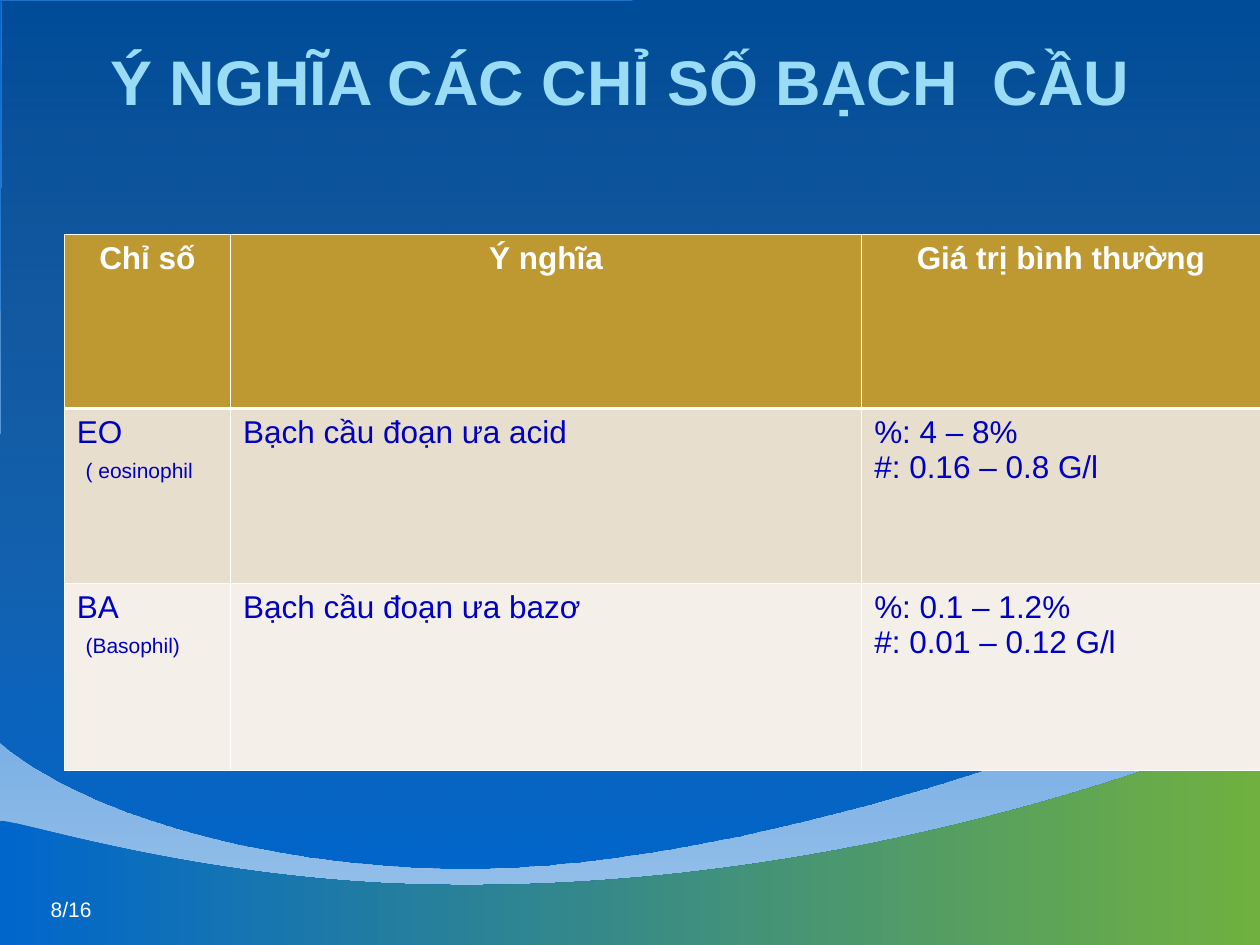
from dataclasses import dataclass

import pptx
import pptx.dml.color
import pptx.enum.text
import pptx.oxml
import pptx.oxml.ns
import pptx.util
from pptx.util import Pt

ALIGN = pptx.enum.text.PP_ALIGN
NAMESPACE = pptx.oxml.ns.nsdecls("a")


@dataclass(frozen=True)
class Theme:
    font: str = "Arial"
    title_size: float = 36
    body_size: float = 18
    small_size: float = 12
    title: str = "9ADCF6"
    white: str = "FFFFFF"
    body: str = "0000C0"
    header_fill: str = "BE9932"
    odd_fill: str = "E8DECD"
    even_fill: str = "F4EFE8"
    navy: str = "002F5E"
    blue: str = "0066CC"
    sky: str = "9BC3EB"
    green: str = "70B040"
    thin: float = 0.45
    thick: float = 1.47


THEME = Theme()


@dataclass(frozen=True)
class Run:
    text: str
    size: float = THEME.body_size
    color: str = THEME.body
    bold: bool = False


@dataclass(frozen=True)
class TableRow:
    height: float
    fill: str
    cells: list[list[list[Run]]]
    align: ALIGN = ALIGN.LEFT
    top: float = THEME.thin
    bottom: float = THEME.thin


@dataclass(frozen=True)
class Wave:
    """Outline made of cubic curves, closed by straight lines."""
    start: tuple
    curves: list[tuple]
    corners: list[tuple]
    colors: tuple
    angle: float
    start_opacity: int = 100


def rgb(color: str) -> pptx.dml.color.RGBColor:
    return pptx.dml.color.RGBColor.from_string(color)


def set_gradient(fill, colors: tuple, angle: float) -> None:
    fill.gradient()
    fill.gradient_angle = angle
    for stop, color, position in zip(fill.gradient_stops, colors, (0, 1)):
        stop.color.rgb = rgb(color)
        stop.position = position


def bend_lines(shape, curve_count: int) -> None:
    """Turn each leading triple of line segments into one cubic curve."""
    lines = list(shape.element.iter(pptx.oxml.ns.qn("a:lnTo")))
    for index in range(curve_count):
        triple = lines[3 * index:3 * index + 3]
        curve = pptx.oxml.parse_xml(f"<a:cubicBezTo {NAMESPACE}/>")
        triple[0].addprevious(curve)
        for line in triple:
            curve.append(line[0])
            line.getparent().remove(line)


def draw_wave(slide, wave: Wave) -> None:
    points = [point for curve in wave.curves for point in curve] + wave.corners
    builder = slide.shapes.build_freeform(*(Pt(value) for value in wave.start))
    builder.add_line_segments([(Pt(x), Pt(y)) for x, y in points], close=True)
    shape = builder.convert_to_shape()
    bend_lines(shape, len(wave.curves))
    shape.shadow.inherit = False
    shape.line.fill.background()
    set_gradient(shape.fill, wave.colors, wave.angle)
    if wave.start_opacity < 100:
        first_color = next(shape.element.iter(pptx.oxml.ns.qn("a:srgbClr")))
        first_color.append(pptx.oxml.parse_xml(
            f'<a:alpha {NAMESPACE} val="{wave.start_opacity * 1000}"/>'))


def write_text(text_frame, lines: list[list[Run]], align: ALIGN) -> None:
    text_frame.word_wrap = True
    for index, line in enumerate(lines):
        paragraph = text_frame.add_paragraph() if index else text_frame.paragraphs[0]
        paragraph.alignment = align
        for item in line:
            run = paragraph.add_run()
            run.text = item.text
            run.font.name = THEME.font
            run.font.size = Pt(item.size)
            run.font.bold = item.bold
            run.font.color.rgb = rgb(item.color)


def draw_text(slide, box: tuple, run: Run, align: ALIGN) -> None:
    shape = slide.shapes.add_textbox(*(Pt(value) for value in box))
    write_text(shape.text_frame, [[run]], align)


def set_borders(cell, row: TableRow) -> None:
    properties = cell._tc.get_or_add_tcPr()
    widths = {"lnL": THEME.thin, "lnR": THEME.thin, "lnT": row.top, "lnB": row.bottom}
    for tag, width in widths.items():
        properties.append(pptx.oxml.parse_xml(
            f'<a:{tag} {NAMESPACE} w="{Pt(width)}"><a:solidFill>'
            f'<a:srgbClr val="{THEME.white}"/></a:solidFill></a:{tag}>'))


def draw_table(slide, left: float, top: float, widths: list[float],
               rows: list[TableRow]) -> None:
    height = sum(row.height for row in rows)
    table = slide.shapes.add_table(len(rows), len(widths), Pt(left), Pt(top),
                                   Pt(sum(widths)), Pt(height)).table
    for column, width in zip(table.columns, widths):
        column.width = Pt(width)
    for table_row, row in zip(table.rows, rows):
        table_row.height = Pt(row.height)
        for cell, lines in zip(table_row.cells, row.cells):
            set_borders(cell, row)
            cell.fill.solid()
            cell.fill.fore_color.rgb = rgb(row.fill)
            write_text(cell.text_frame, lines, row.align)


def index_cells(code: str, name: str, meaning: str, percent: str, count: str) -> list:
    return [[[Run(code)], [Run(" "), Run(name, THEME.small_size)]],
            [[Run(meaning)]],
            [[Run(percent)], [Run(count)]]]


WAVES = [
    Wave((0, 424), [((8.6, 432.7), (79.9, 488.9), (247.7, 496.1)),
                    ((414.7, 503.3), (675.4, 409.7), (722.2, 368.6))],
         [(722.2, 0), (0.7, 0.7), (1.4, 2.2)],
         (THEME.navy, THEME.blue), 270, start_opacity=46),
    Wave((0, 469.4), [((2.2, 465.8), (93.6, 498.2), (220.3, 504.7)),
                      ((347, 510.5), (520.6, 493.9), (720.7, 416.2))],
         [(720, 542.2), (-1.4, 541.4)],
         (THEME.blue, THEME.green), 0),
]

HEADINGS = ["Chỉ số", "Ý nghĩa", "Giá trị bình thường"]
ROWS = [
    TableRow(99.5, THEME.header_fill,
             [[[Run(heading, color=THEME.white, bold=True)]] for heading in HEADINGS],
             align=ALIGN.CENTER, bottom=THEME.thick),
    TableRow(100, THEME.odd_fill,
             index_cells("EO", "( eosinophil", "Bạch cầu đoạn ưa acid",
                         "%: 4 – 8%", "#: 0.16 – 0.8 G/l"), top=THEME.thick),
    TableRow(106.5, THEME.even_fill,
             index_cells("BA", "(Basophil)", "Bạch cầu đoạn ưa bazơ",
                         "%: 0.1 – 1.2%", "#: 0.01 – 0.12 G/l")),
]


def main() -> None:
    presentation = pptx.Presentation()
    presentation.slide_width, presentation.slide_height = Pt(720), Pt(540)
    slide = presentation.slides.add_slide(presentation.slide_layouts[6])

    # Background and waves
    set_gradient(slide.background.fill, (THEME.blue, THEME.sky), 270)
    for wave in WAVES:
        draw_wave(slide, wave)

    # Title and page number
    draw_text(slide, (14.4, 20.5, 680, 50.4),
              Run("Ý NGHĨA CÁC CHỈ SỐ BẠCH  CẦU", THEME.title_size, THEME.title, True),
              ALIGN.CENTER)
    draw_text(slide, (7.2, 509, 52.2, 16.6),
              Run("8/16", THEME.small_size, THEME.white), ALIGN.RIGHT)

    # White blood cell indices
    draw_table(slide, 36.7, 134, [95, 360.7, 227.8], ROWS)

    presentation.save("out.pptx")


if __name__ == "__main__":
    main()
